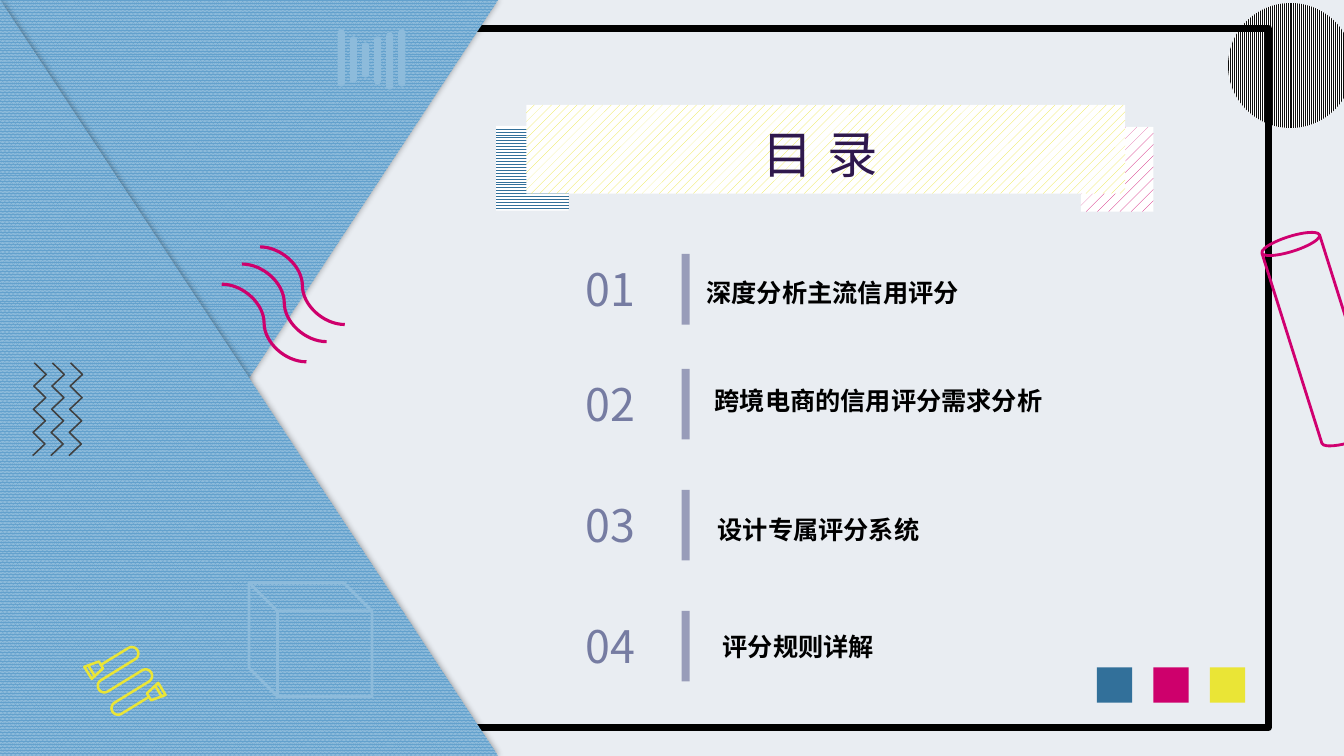
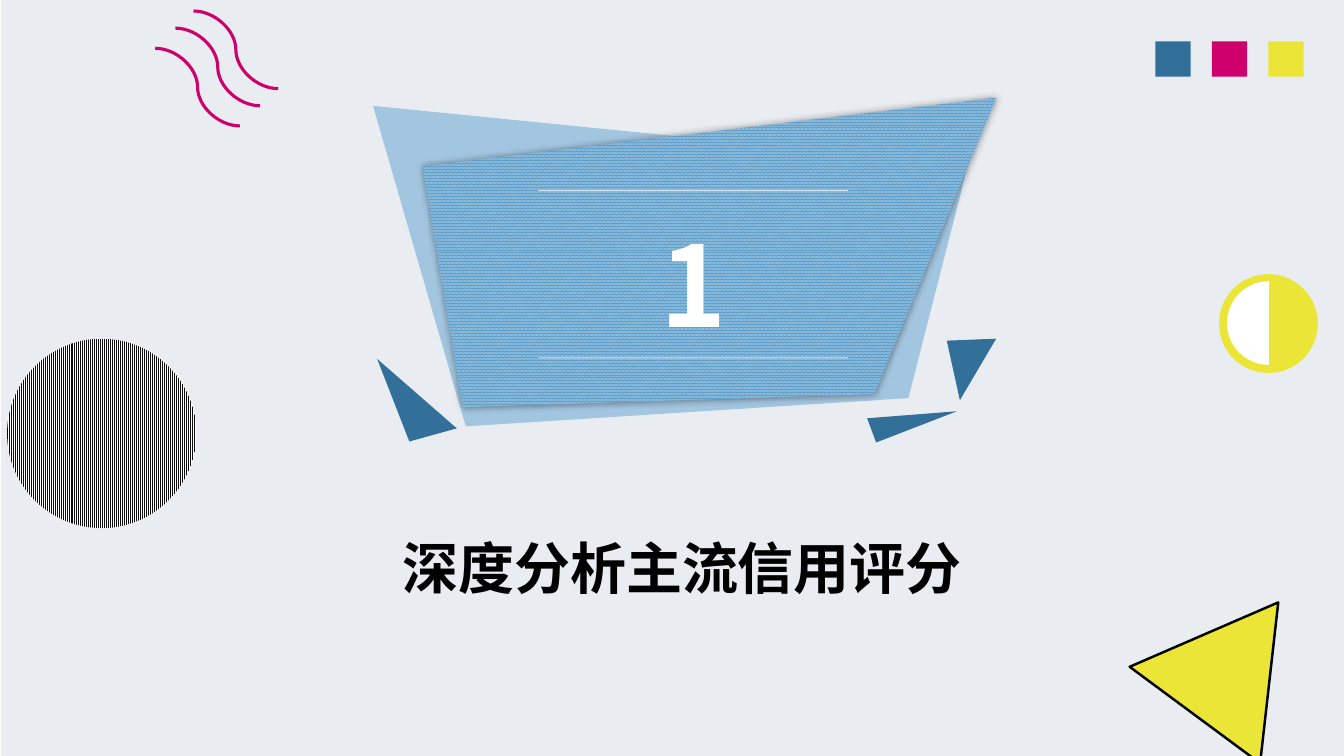
import math

import pptx
import pptx.dml.color
import pptx.enum.dml
import pptx.enum.shapes
import pptx.enum.text
import pptx.oxml
import pptx.oxml.ns
import pptx.util

Inches = pptx.util.Inches
Pt = pptx.util.Pt
SHAPE = pptx.enum.shapes.MSO_SHAPE
CONNECTOR = pptx.enum.shapes.MSO_CONNECTOR
PATTERN = pptx.enum.dml.MSO_PATTERN
ALIGN = pptx.enum.text.PP_ALIGN
ANCHOR = pptx.enum.text.MSO_ANCHOR

COLORS = {
    "black": "000000", "ink": "0D0D0D", "charcoal": "404040", "white": "FFFFFF",
    "mist": "E9EDF2", "blue": "63A1CD", "sky": "8DBBDB", "steel": "32709A",
    "pale": "DEEBF7", "magenta": "CE006C", "pink": "D00070", "yellow": "EAE536",
    "number": "767CA2", "bar": "989CB9", "title": "2F184D",
}
PATTERNS = {
    "page": (PATTERN.DARK_VERTICAL, "mist", "white"),
    "stripes": (PATTERN.LIGHT_VERTICAL, "ink", "white"),
    "weave": (PATTERN.PERCENT_80, "blue", "sky"),
    "steel lines": (PATTERN.ZIG_ZAG, "steel", "white"),
    "magenta lines": (PATTERN.PERCENT_10, "magenta", "white"),
    "yellow lines": (PATTERN.PERCENT_20, "yellow", "white"),
}
HEADING_FONT = "Noto Sans CJK JP"
NUMBER_FONT = "Noto Sans CJK SC"


def rgb(name):
    return pptx.dml.color.RGBColor.from_string(COLORS[name])


def add_xml(parent, tag, **attributes):
    child = pptx.oxml.parse_xml(f"<a:{tag} {pptx.oxml.ns.nsdecls('a')}/>")
    for key, value in attributes.items():
        child.set(key, str(value))
    parent.append(child)
    return child


def set_alpha(fill_owner, percent):
    """Make the last solid colour inside the element partly transparent."""
    color = fill_owner.findall(".//" + pptx.oxml.ns.qn("a:srgbClr"))[-1]
    add_xml(color, "alpha", val=percent * 1000)


class Painter:
    """Holds the deck style and draws on the current slide."""

    def __init__(self):
        self.deck = pptx.Presentation()
        self.deck.slide_width = Inches(13.33)
        self.deck.slide_height = Inches(7.5)
        self.slide = None

    def new_slide(self):
        self.slide = self.deck.slides.add_slide(self.deck.slide_layouts[6])
        self.fill(self.slide.background.fill, "page")

    def fill(self, fill, name):
        """Apply a named pattern, a named colour, or no fill for None."""
        if name is None:
            fill.background()
        elif name in PATTERNS:
            pattern, front, back = PATTERNS[name]
            fill.patterned()
            fill.pattern = pattern
            fill.fore_color.rgb = rgb(front)
            fill.back_color.rgb = rgb(back)
        else:
            fill.solid()
            fill.fore_color.rgb = rgb(name)

    def paint(self, shape, fill, line, width, shadow=False):
        shape.shadow.inherit = False
        self.fill(shape.fill, fill)
        self.fill(shape.line.fill, line)
        if line:
            shape.line.width = Pt(width)
        if shadow:
            effects = shape.element.spPr.find(pptx.oxml.ns.qn("a:effectLst"))
            glow = add_xml(effects, "outerShdw", blurRad=Pt(5), dist=0, dir=0,
                           algn="ctr", rotWithShape=0)
            add_xml(glow, "srgbClr", val=COLORS["black"])
            set_alpha(glow, 40)
        return shape

    def shape(self, kind, left, top, width, height, fill=None, line=None,
              line_width=1, rotation=0, flip=None, shadow=False):
        shape = self.slide.shapes.add_shape(
            kind, Inches(left), Inches(top), Inches(width), Inches(height))
        shape.rotation = rotation
        if flip:
            shape.element.spPr.xfrm.set(flip, "1")
        return self.paint(shape, fill, line, line_width, shadow)

    def outline(self, contours, fill=None, line=None, line_width=1, shadow=False):
        """Draw one freeform; contours are closed only when it is filled."""
        builder = None
        for contour in contours:
            points = [(Inches(x), Inches(y)) for x, y in contour]
            if builder is None:
                builder = self.slide.shapes.build_freeform(*points[0], scale=1.0)
            else:
                builder.move_to(*points[0])
            builder.add_line_segments(points[1:], close=fill is not None)
        return self.paint(builder.convert_to_shape(), fill, line, line_width, shadow)

    def connector(self, kind, start, end, color, width):
        line = self.slide.shapes.add_connector(
            kind, *(Inches(value) for value in (*start, *end)))
        self.fill(line.line.fill, color)
        line.line.width = Pt(width)
        add_xml(line.element.spPr, "effectLst")
        return line

    def text(self, words, left, top, width, height, size, color="black",
             font=HEADING_FONT, bold=False, align=None, spacing=None,
             anchor=ANCHOR.TOP, insets=(0.1, 0.05, 0.1, 0.05)):
        box = self.slide.shapes.add_textbox(
            Inches(left), Inches(top), Inches(width), Inches(height))
        frame = box.text_frame
        frame.word_wrap = True
        frame.vertical_anchor = anchor
        (frame.margin_left, frame.margin_top,
         frame.margin_right, frame.margin_bottom) = map(Inches, insets)
        para = frame.paragraphs[0]
        para.alignment = align
        para.line_spacing = spacing
        span = para.add_run()
        span.text = words
        span.font.size = Pt(size)
        span.font.bold = bold
        span.font.color.rgb = rgb(color)
        span.font.name = font
        add_xml(span.font._element, "ea", typeface=font)
        return span

    def color_squares(self, left, top):
        for index, color in enumerate(("steel", "magenta", "yellow")):
            self.shape(SHAPE.RECTANGLE, left + 0.56 * index, top, 0.35, 0.35, color)

    def waves(self, left, top):
        for dx, dy in ((0, 0), (-0.18, 0.17), (-0.38, 0.37)):
            x, y = left + dx, top + dy
            self.connector(CONNECTOR.CURVE, (x + 0.84, y + 0.77), (x, y), "magenta", 2.25)

    def striped_circle(self, left, top, size):
        self.shape(SHAPE.OVAL, left, top, size, size, "stripes")

    def zigzags(self, left, top):
        self.outline(
            [[(left + 0.18 * column + 0.12 * (step % 2) - 0.002 * step, top + 0.115 * step)
              for step in range(9)] for column in range(3)],
            line="charcoal", line_width=1.1)

    def cable(self, center_x, center_y):
        """Draw a folded cable with a plug at each end."""
        row, bend_x = 0.13, 0.2
        cord = [(-0.12, -2 * row)]
        for index in range(4):
            side = 1 if index % 2 == 0 else -1
            bend_y = (index - 1.5) * row
            for step in range(13):
                angle = math.pi * (step / 12 - 0.5)
                cord.append((side * (bend_x + row / 2 * math.cos(angle)),
                             bend_y + row / 2 * math.sin(angle)))
        cord.append((0.12, 2 * row))
        contours = [cord]
        for side in (-1, 1):
            y = side * 2 * row
            plug = [(0.27, y - 0.07), (0.12, y - 0.04), (0.12, y + 0.04),
                    (0.27, y + 0.07), (0.27, y - 0.07)]
            for part in (plug, [(0.23, y - 0.06), (0.23, y + 0.06)]):
                contours.append([(side * x, py) for x, py in part])
        shape = self.outline(
            [[(center_x + x, center_y + y) for x, y in part] for part in contours],
            line="yellow", line_width=1.8)
        shape.rotation = 328.4

    def sound_bars(self, left):
        spans = ((0.29, 0.86), (0.36, 0.82), (0.42, 0.77),
                 (0.36, 0.84), (0.32, 0.89), (0.29, 0.86))
        for index, (top, bottom) in enumerate(spans):
            bar = self.shape(SHAPE.ROUNDED_RECTANGLE, left + 0.12 * index, top,
                             0.07, bottom - top, "sky")
            bar.adjustments[0] = 0.5


def build_contents(painter):
    painter.new_slide()
    painter.striped_circle(12.18, 0.03, 1.24)
    painter.shape(SHAPE.RECTANGLE, 0.75, 0.28, 11.83, 6.94, line="black", line_width=5)
    for rotation, flip in ((90, None), (270, "flipV")):
        painter.shape(SHAPE.RIGHT_TRIANGLE, -1.28, 1.28, 7.5, 4.94, "weave",
                      rotation=rotation, flip=flip, shadow=True)
    painter.shape(SHAPE.CUBE, 2.47, 5.78, 1.22, 1.13, line="sky", line_width=2, flip="flipH")
    painter.shape(SHAPE.CAN, 12.8, 2.3, 0.6, 2.13, line="pink", line_width=2, rotation=342.5)
    painter.zigzags(0.34, 3.6)
    painter.cable(1.24, 6.755)
    painter.sound_bars(3.35)
    painter.color_squares(10.88, 6.62)

    topics = (
        ("深度分析主流信用评分", 2.52, 6.91, 2.7),
        ("跨境电商的信用评分需求分析", 3.66, 6.99, 3.77),
        ("设计专属评分系统", 4.86, 7.02, 5.05),
        ("评分规则详解", 6.06, 7.07, 6.21),
    )
    for number, (topic, bar_top, left, top) in enumerate(topics, 1):
        span = painter.text(f"{number:02}", 5.71, bar_top + 0.03, 0.85, 0.64, 32,
                            "number", NUMBER_FONT)
        properties = span.font._element
        edge = add_xml(properties, "ln", w=Pt(0.75))
        add_xml(add_xml(edge, "solidFill"), "srgbClr", val=COLORS["number"])
        properties.insert(0, edge)
        painter.text(topic, left, top, 3.54, 0.4, 18, bold=True)
        painter.shape(SHAPE.RECTANGLE, 6.76, bar_top, 0.08, 0.7, "bar")

    for left, top, width, height, fill in (
            (4.92, 1.25, 0.72, 0.84, "steel lines"),
            (10.72, 1.26, 0.72, 0.84, "magenta lines"),
            (5.22, 1.04, 5.94, 0.88, "yellow lines")):
        painter.shape(SHAPE.RECTANGLE, left, top, width, height, fill)
    title = painter.text("目 录", 5.71, 1.11, 4.85, 0.72, 36, "title",
                         align=ALIGN.CENTER, spacing=1.1)
    title.font._element.set("spc", "140")
    painter.waves(2.58, 2.45)


def build_section(painter):
    painter.new_slide()
    painter.outline([[(3.74, 3.56), (4.06, 4.38), (4.53, 4.25)]], "steel")
    backing = painter.outline([[(3.7, 1.05), (9.6, 1.64), (9.01, 3.95), (4.62, 4.23)]], "sky")
    set_alpha(backing.element.spPr, 76)
    painter.outline([[(4.19, 1.65), (9.88, 0.97), (8.67, 3.91), (4.59, 4.04)]],
                    "weave", shadow=True)
    painter.outline([[(9.39, 3.38), (9.88, 3.36), (9.52, 3.97)]], "steel")
    painter.outline([[(8.6, 4.15), (9.49, 4.08), (8.69, 4.39)]], "steel")
    for y in (1.89, 3.55):
        rule = painter.connector(CONNECTOR.STRAIGHT, (5.34, y), (8.41, y), "pale", 0.75)
        set_alpha(rule.element.spPr, 87)
    painter.text("1", 5.34, 1.89, 3.08, 1.65, 80, "white", NUMBER_FONT, True,
                 ALIGN.CENTER, 1.1, ANCHOR.MIDDLE, (0, 0.08, 0, 0.04))
    painter.text("深度分析主流信用评分", 3.92, 5.25, 5.9, 0.75, 40, bold=True,
                 insets=(0.07, 0.04, 0.07, 0.04))
    painter.color_squares(11.46, 0.41)
    painter.shape(SHAPE.ISOSCELES_TRIANGLE, 11.46, 5.84, 1.61, 1.39, "yellow",
                  "black", 1.75, rotation=36.5)
    painter.striped_circle(0.07, 3.36, 1.88)
    painter.waves(1.92, 0.11)
    painter.shape(SHAPE.OVAL, 12.09, 2.72, 0.98, 0.98, "yellow")
    half = painter.shape(SHAPE.PIE, 12.17, 2.79, 0.83, 0.83, "white")
    half.adjustments[0] = 54
    half.adjustments[1] = 162


def main():
    painter = Painter()
    build_contents(painter)
    build_section(painter)
    painter.deck.save("out.pptx")


if __name__ == "__main__":
    main()
